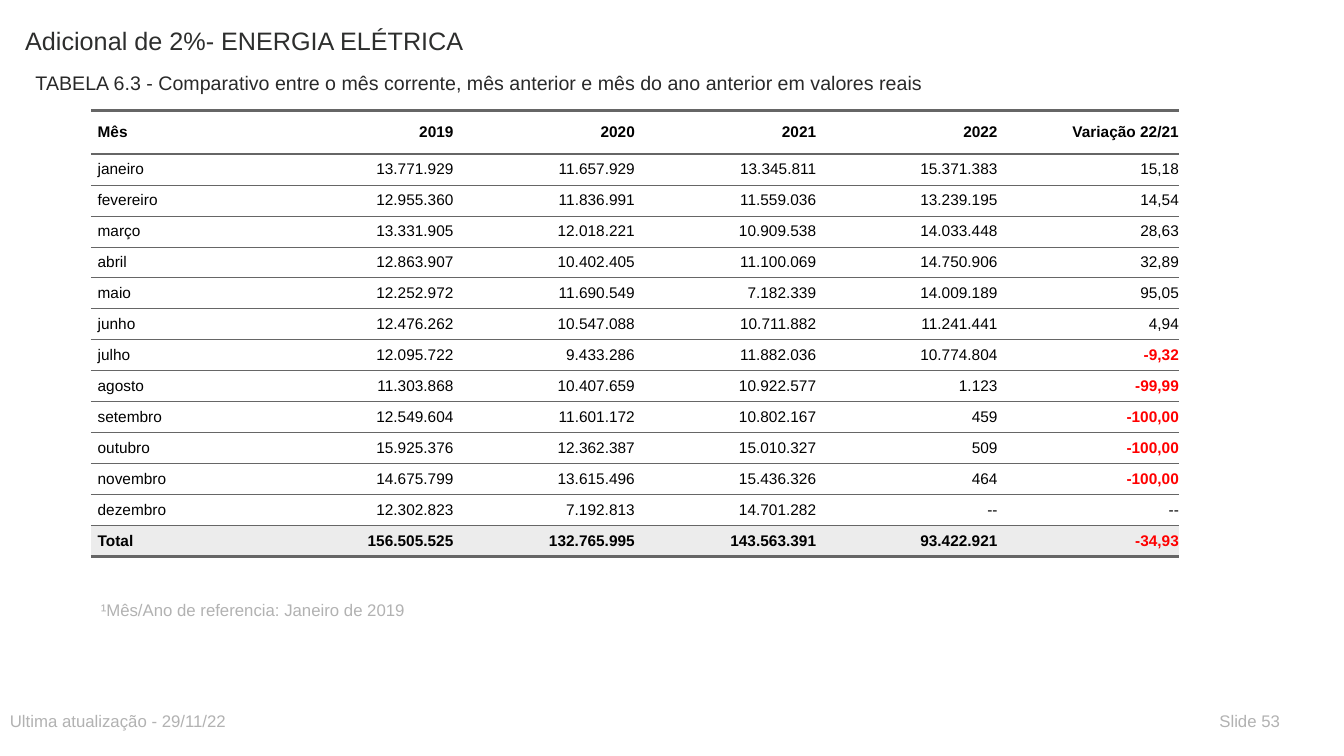
from lxml.etree import SubElement
from pptx import Presentation
from pptx.dml.color import RGBColor
from pptx.enum.text import MSO_ANCHOR, MSO_AUTO_SIZE, PP_ALIGN
from pptx.oxml.ns import qn
from pptx.util import Cm, Pt

COLORS = {
    "title": "2D2E2D",
    "subtitle": "292929",
    "note": "B2B2B2",
    "text": "000000",
    "negative": "FF0000",
    "rule": "666666",
    "row": "FFFFFF",
    "total": "ECECEC",
}
FONT = "Arial"
NO_STYLE = "{2D5ABB26-0587-4C30-8999-92F81FD0307C}"
THIN, THICK = 0.5, 2
COL_WIDTH, HEADER_HEIGHT, ROW_HEIGHT = 4.57, 1.09, 0.78

ROWS = [
    ("Mês", "2019", "2020", "2021", "2022", "Variação 22/21"),
    ("janeiro", "13.771.929", "11.657.929", "13.345.811", "15.371.383", "15,18"),
    ("fevereiro", "12.955.360", "11.836.991", "11.559.036", "13.239.195", "14,54"),
    ("março", "13.331.905", "12.018.221", "10.909.538", "14.033.448", "28,63"),
    ("abril", "12.863.907", "10.402.405", "11.100.069", "14.750.906", "32,89"),
    ("maio", "12.252.972", "11.690.549", "7.182.339", "14.009.189", "95,05"),
    ("junho", "12.476.262", "10.547.088", "10.711.882", "11.241.441", "4,94"),
    ("julho", "12.095.722", "9.433.286", "11.882.036", "10.774.804", "-9,32"),
    ("agosto", "11.303.868", "10.407.659", "10.922.577", "1.123", "-99,99"),
    ("setembro", "12.549.604", "11.601.172", "10.802.167", "459", "-100,00"),
    ("outubro", "15.925.376", "12.362.387", "15.010.327", "509", "-100,00"),
    ("novembro", "14.675.799", "13.615.496", "15.436.326", "464", "-100,00"),
    ("dezembro", "12.302.823", "7.192.813", "14.701.282", "--", "--"),
    ("Total", "156.505.525", "132.765.995", "143.563.391", "93.422.921", "-34,93"),
]


def add_run(p, text, size, color, bold=False):
    r = p.add_run()
    r.text = text
    r.font.name = FONT
    r.font.size = Pt(size)
    r.font.bold = bold
    r.font.color.rgb = RGBColor.from_string(COLORS[color])


def set_text(sp, box, text, size, color):
    sp.left, sp.top, sp.width, sp.height = [Cm(v) for v in box]
    tf = sp.text_frame
    tf.word_wrap = True
    tf.auto_size = MSO_AUTO_SIZE.NONE
    tf.vertical_anchor = MSO_ANCHOR.TOP
    p = tf.paragraphs[0]
    p.alignment = PP_ALIGN.LEFT
    p.space_before = Pt(0)
    pPr = p._p.get_or_add_pPr()
    pPr.set("marL", "0")
    pPr.set("indent", "0")
    SubElement(pPr, qn("a:buNone"))
    add_run(p, text, size, color)


def add_note(s, box, text):
    sp = s.shapes.add_textbox(*[Cm(v) for v in box])
    set_text(sp, box, text, 12, "note")


def set_border(cell, side, width):
    ln = SubElement(cell._tc.get_or_add_tcPr(), qn(f"a:{side}"), w=str(Pt(width)))
    fill = SubElement(ln, qn("a:solidFill"))
    SubElement(fill, qn("a:srgbClr"), val=COLORS["rule"])


def fill_cell(cell, text, row, col):
    header, total = row == 0, row == len(ROWS) - 1
    negative = text.startswith("-") and text != "--"
    cell.margin_left = cell.margin_right = 0
    cell.margin_top = cell.margin_bottom = Cm(0.17)
    cell.vertical_anchor = MSO_ANCHOR.MIDDLE
    set_border(cell, "lnT", THICK if row < 2 else THIN)
    set_border(cell, "lnB", THICK if header or total else THIN)
    cell.fill.solid()
    cell.fill.fore_color.rgb = RGBColor.from_string(COLORS["total" if total else "row"])
    p = cell.text_frame.paragraphs[0]
    p.alignment = PP_ALIGN.RIGHT if col else PP_ALIGN.LEFT
    p.space_before = p.space_after = Pt(5)
    p._p.get_or_add_pPr().set("marL", str(Cm(0.17)))
    color = "negative" if negative else "text"
    add_run(p, text, 11, color, header or total or negative)


def add_month_table(s, left, top):
    cols = len(ROWS[0])
    height = HEADER_HEIGHT + ROW_HEIGHT * (len(ROWS) - 1)
    frame = s.shapes.add_table(len(ROWS), cols, Cm(left), Cm(top),
                               Cm(COL_WIDTH * cols), Cm(height))
    table = frame.table
    table.horz_banding = False
    table._tbl.tblPr.find(qn("a:tableStyleId")).text = NO_STYLE
    for column in table.columns:
        column.width = Cm(COL_WIDTH)
    for i, values in enumerate(ROWS):
        table.rows[i].height = Cm(ROW_HEIGHT if i else HEADER_HEIGHT)
        for j, value in enumerate(values):
            fill_cell(table.cell(i, j), value, i, j)


def main():
    prs = Presentation()
    prs.slide_width, prs.slide_height = Cm(33.87), Cm(19.05)
    s = prs.slides.add_slide(prs.slide_layouts[1])
    set_text(s.shapes.title, (0.38, 0.51, 20.32, 1.5),
             "Adicional de 2%- ENERGIA ELÉTRICA", 18, "title")
    set_text(s.placeholders[1], (0.64, 1.65, 25.4, 0.76),
             "TABELA 6.3 - Comparativo entre o mês corrente, mês anterior "
             "e mês do ano anterior em valores reais", 14, "subtitle")
    add_note(s, (2.29, 14.99, 16.51, 0.76), "¹Mês/Ano de referencia: Janeiro de 2019")
    add_month_table(s, 2.29, 2.79)
    add_note(s, (0, 17.78, 16.51, 0.76), "Ultima atualização - 29/11/22")
    add_note(s, (30.48, 17.78, 2.29, 0.76), "Slide 53")
    prs.save("out.pptx")


if __name__ == "__main__":
    main()
